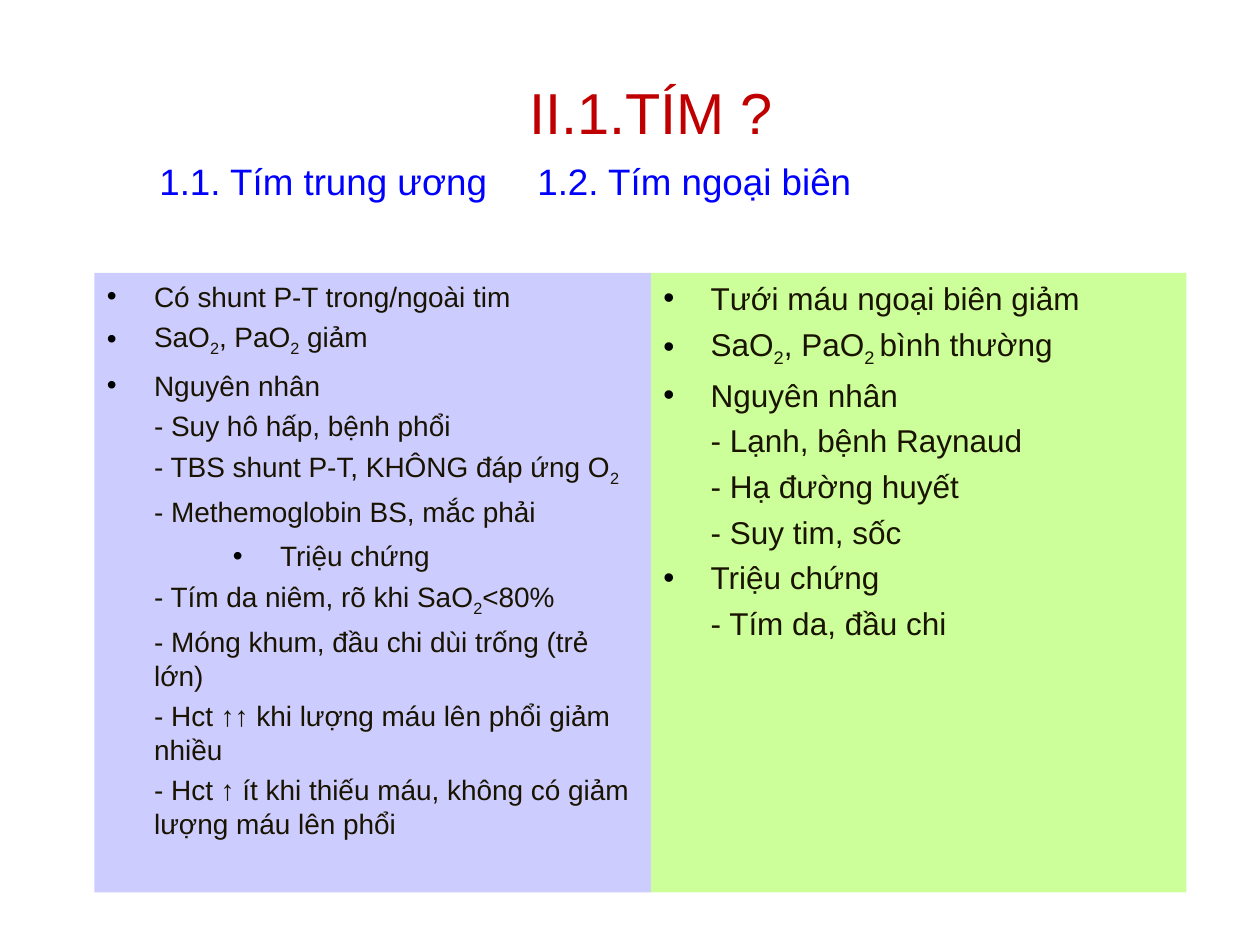
from dataclasses import dataclass

from lxml.etree import SubElement
from pptx import Presentation
from pptx.dml.color import RGBColor
from pptx.enum.shapes import MSO_SHAPE
from pptx.enum.text import MSO_ANCHOR, PP_ALIGN
from pptx.oxml.ns import qn
from pptx.util import Pt

SCALE = 7620  # EMU in one px, 120 px to the inch
HANG = 45


@dataclass(frozen=True)
class Theme:
    font: str = "Arial"
    title: str = "C00000"
    head: str = "0000FF"
    ink: str = "191300"
    dot: str = "000000"
    lilac: str = "CCCCFF"
    lime: str = "CCFF99"
    title_pt: int = 33
    head_pt: int = 21
    left_pt: int = 16
    right_pt: int = 18


@dataclass(frozen=True)
class Box:
    x: int
    y: int
    w: int
    h: int


@dataclass(frozen=True)
class Item:
    text: str  # parts between ~ marks are subscript
    dot: bool = False
    gap: float | None = None
    level: int = 0
    left: int = HANG


@dataclass(frozen=True)
class Panel:
    box: Box
    fill: str
    size: int
    gap: float
    items: tuple[Item, ...]


THEME = Theme()

PANELS = (
    Panel(Box(90, 260, 530, 590), THEME.lilac, THEME.left_pt, 4, (
        Item("Có shunt P-T trong/ngoài tim", True),
        Item("SaO~2~, PaO~2~ giảm", True),
        Item("Nguyên nhân", True, gap=6),
        Item("- Suy hô hấp, bệnh phổi"),
        Item("- TBS shunt P-T, KHÔNG đáp ứng O~2~"),
        Item("- Methemoglobin BS, mắc phải"),
        Item("Triệu chứng", True, gap=6, level=2, left=HANG + 120),
        Item("- Tím da niêm, rõ khi SaO~2~<80%"),
        Item("- Móng khum, đầu chi dùi trống (trẻ lớn)"),
        Item("- Hct ↑↑ khi lượng máu lên phổi giảm nhiều"),
        Item("- Hct ↑ ít khi thiếu máu, không có giảm lượng máu lên phổi"),
    )),
    Panel(Box(620, 260, 510, 590), THEME.lime, THEME.right_pt, 4.5, (
        Item("Tưới máu ngoại biên giảm", True),
        Item("SaO~2~, PaO~2 ~bình thường", True),
        Item("Nguyên nhân", True),
        Item("- Lạnh, bệnh Raynaud"),
        Item("- Hạ đường huyết"),
        Item("- Suy tim, sốc"),
        Item("Triệu chứng", True),
        Item("- Tím da, đầu chi"),
    )),
)


def px(n: int) -> int:
    return n * SCALE


def place(box: Box) -> tuple[int, ...]:
    return tuple(px(n) for n in (box.x, box.y, box.w, box.h))


def apply(target, values: dict) -> None:
    for name, value in values.items():
        setattr(target, name, value)


def write(para, text: str, size: int, color: str) -> None:
    """Add runs to a paragraph, lowering every part between ~ marks."""
    for n, part in enumerate(text.split("~")):
        if not part:
            continue
        run = para.add_run()
        run.text = part
        apply(run.font, {"name": THEME.font, "size": Pt(size)})
        run.font.color.rgb = RGBColor.from_string(color)
        if n % 2:
            run._r.get_or_add_rPr().set("baseline", "-25000")


def indent(para, item: Item) -> None:
    """Set the left margin and, where wanted, a hanging bullet."""
    props = para._p.get_or_add_pPr()
    props.set("marL", str(px(item.left)))
    props.set("indent", str(px(-HANG) if item.dot else 0))
    if item.dot:
        tint = SubElement(props, qn("a:buClr"))
        SubElement(tint, qn("a:srgbClr")).set("val", THEME.dot)
        SubElement(props, qn("a:buFont")).set("typeface", THEME.font)
        SubElement(props, qn("a:buChar")).set("char", "•")
    else:
        SubElement(props, qn("a:buNone"))


def add_line(slide, box: Box, text: str, size: int, color: str,
             frame: dict, tab: int = 0, **form) -> None:
    """Add a one-line text box, with one tab stop if given."""
    body = slide.shapes.add_textbox(*place(box)).text_frame
    apply(body, {"word_wrap": True} | frame)
    para = body.paragraphs[0]
    if tab:
        stops = SubElement(para._p.get_or_add_pPr(), qn("a:tabLst"))
        stop = SubElement(stops, qn("a:tab"))
        stop.set("pos", str(px(tab)))
        stop.set("algn", "l")
    apply(para, {"line_spacing": 0.9} | form)
    write(para, text, size, color)


def add_panel(slide, panel: Panel) -> None:
    shape = slide.shapes.add_shape(MSO_SHAPE.RECTANGLE, *place(panel.box))
    shape.shadow.inherit = False
    shape.fill.solid()
    shape.fill.fore_color.rgb = RGBColor.from_string(panel.fill)
    shape.line.fill.background()
    body = shape.text_frame
    apply(body, {"word_wrap": True, "vertical_anchor": MSO_ANCHOR.TOP})
    for n, item in enumerate(panel.items):
        para = body.add_paragraph() if n else body.paragraphs[0]
        indent(para, item)
        gap = (item.gap or panel.gap) if n else 0
        apply(para, {"alignment": PP_ALIGN.LEFT, "level": item.level,
                     "space_before": Pt(gap)})
        write(para, item.text, panel.size, THEME.ink)


def main() -> None:
    deck = Presentation()
    apply(deck, {"slide_width": px(1200), "slide_height": px(900)})
    slide = deck.slides.add_slide(deck.slide_layouts[6])
    add_line(slide, Box(100, 60, 1040, 100), "II.1.TÍM ?", THEME.title_pt,
             THEME.title, {"vertical_anchor": MSO_ANCHOR.MIDDLE},
             alignment=PP_ALIGN.CENTER)
    add_line(slide, Box(140, 150, 1044, 654),
             "1.1. Tím trung ương\t1.2. Tím ngoại biên", THEME.head_pt,
             THEME.head, {"vertical_anchor": MSO_ANCHOR.TOP}, tab=360)
    for panel in PANELS:
        add_panel(slide, panel)
    deck.save("out.pptx")


if __name__ == "__main__":
    main()
